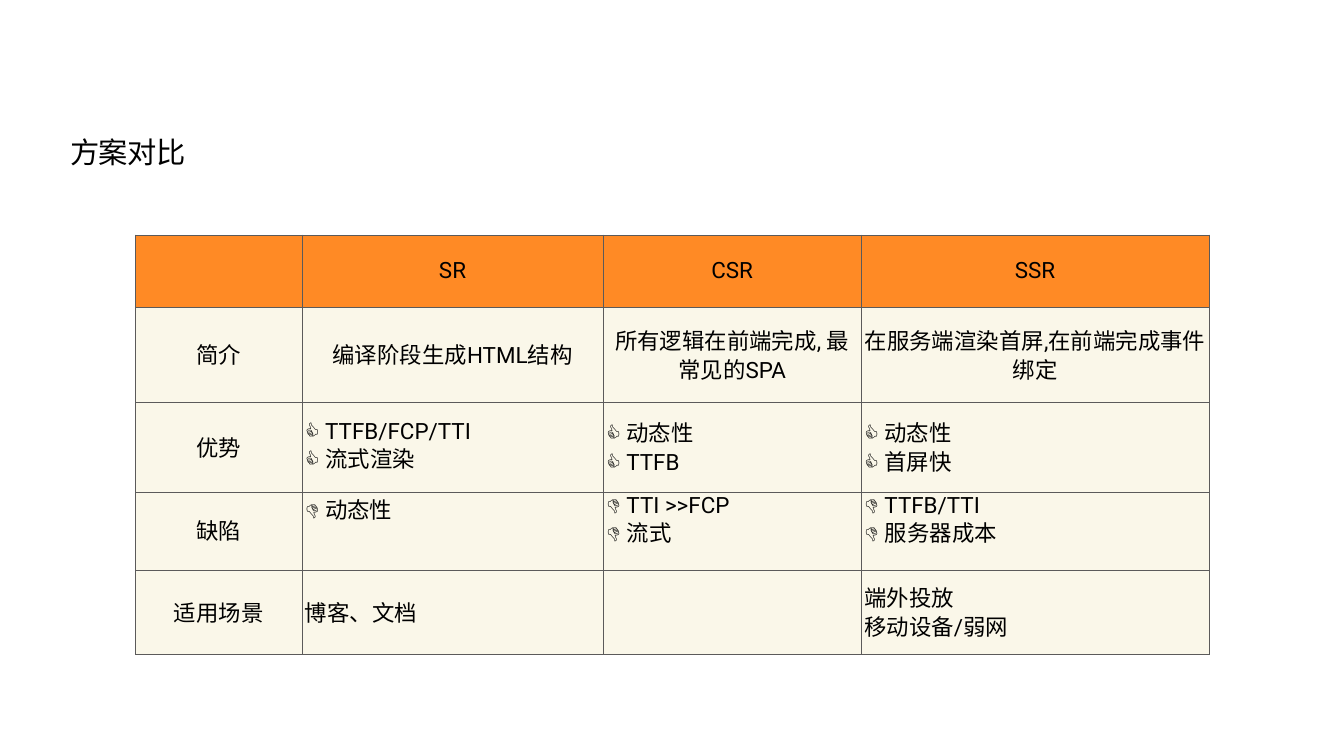
from dataclasses import dataclass

from lxml.etree import SubElement
from pptx import Presentation
from pptx.dml.color import RGBColor
from pptx.enum.text import MSO_ANCHOR, MSO_AUTO_SIZE, PP_ALIGN
from pptx.oxml.ns import qn
from pptx.slide import Slide
from pptx.table import _Cell
from pptx.util import Inches, Pt

ORANGE = RGBColor(0xFF, 0x8A, 0x25)
CREAM = RGBColor(0xFA, 0xF7, 0xE9)
BLACK = RGBColor(0, 0, 0)
GRID_GREY = RGBColor(0x5B, 0x5A, 0x5A)

INSET = Inches(0.06)
COLUMN_WIDTHS = (3.3, 5.98, 5.12, 6.9)


@dataclass(frozen=True)
class ComparisonRow:
    height: float
    label: str
    entries: tuple[str, str, str]
    fill: RGBColor = CREAM
    alignment: PP_ALIGN = PP_ALIGN.LEFT
    anchor: MSO_ANCHOR = MSO_ANCHOR.MIDDLE


COMPARISON = (
    ComparisonRow(1.44, "", ("SR", "CSR", "SSR"), ORANGE, PP_ALIGN.CENTER),
    ComparisonRow(
        1.89,
        "简介",
        (
            "编译阶段生成HTML结构",
            "所有逻辑在前端完成, 最常见的SPA",
            "在服务端渲染首屏,在前端完成事件绑定",
        ),
        alignment=PP_ALIGN.CENTER,
    ),
    ComparisonRow(
        1.77,
        "优势",
        ("👍 TTFB/FCP/TTI\n👍 流式渲染", "👍 动态性\n👍 TTFB", "👍 动态性\n👍 首屏快"),
    ),
    ComparisonRow(
        1.56,
        "缺陷",
        ("👎 动态性", "👎 TTI >>FCP\n👎 流式", "👎 TTFB/TTI\n👎 服务器成本"),
        anchor=MSO_ANCHOR.TOP,
    ),
    ComparisonRow(1.67, "适用场景", ("博客、文档", "", "端外投放\n移动设备/弱网")),
)


def add_title(slide: Slide, wording: str) -> None:
    title = slide.shapes.title
    title.left, title.top = Inches(1.33), Inches(2.61)
    title.width, title.height = Inches(24), Inches(0.91)
    frame = title.text_frame
    frame.auto_size = MSO_AUTO_SIZE.NONE
    frame.vertical_anchor = MSO_ANCHOR.TOP
    frame.margin_left = frame.margin_right = INSET
    frame.margin_top = frame.margin_bottom = INSET
    paragraph = frame.paragraphs[0]
    paragraph.alignment = PP_ALIGN.LEFT
    run = paragraph.add_run()
    run.text = wording
    run.font.name = "Calibri"
    run.font.size = Pt(41.8)
    run.font.color.rgb = BLACK
    run.font._element.set("spc", "-40")


def draw_borders(cell: _Cell) -> None:
    properties = cell._tc.get_or_add_tcPr()
    for side in ("a:lnL", "a:lnR", "a:lnT", "a:lnB"):
        border = SubElement(properties, qn(side), w=str(Pt(1)))
        solid = SubElement(border, qn("a:solidFill"))
        SubElement(solid, qn("a:srgbClr"), val=str(GRID_GREY))


def fill_cell(
    cell: _Cell, wording: str, fill: RGBColor, alignment: PP_ALIGN, anchor: MSO_ANCHOR
) -> None:
    draw_borders(cell)
    cell.fill.solid()
    cell.fill.fore_color.rgb = fill
    cell.vertical_anchor = anchor
    cell.margin_left = cell.margin_right = INSET
    cell.margin_top = cell.margin_bottom = INSET
    if not wording:
        return
    paragraph = cell.text_frame.paragraphs[0]
    paragraph.alignment = alignment
    paragraph.line_spacing = 0.9
    for index, line in enumerate(wording.split("\n")):
        if index:
            paragraph.add_line_break()
        run = paragraph.add_run()
        run.text = line
        run.font.name = "Roboto"
        run.font.size = Pt(32)
        run.font.color.rgb = BLACK


def add_comparison(slide: Slide, rows: tuple[ComparisonRow, ...]) -> None:
    table = slide.shapes.add_table(
        len(rows),
        len(COLUMN_WIDTHS),
        Inches(2.69),
        Inches(4.66),
        Inches(sum(COLUMN_WIDTHS)),
        Inches(sum(row.height for row in rows)),
    ).table
    table.first_row = False
    table.horz_banding = False
    for column, width in zip(table.columns, COLUMN_WIDTHS):
        column.width = Inches(width)
    for index, row in enumerate(rows):
        table.rows[index].height = Inches(row.height)
        fill_cell(
            table.cell(index, 0), row.label, row.fill, PP_ALIGN.CENTER, MSO_ANCHOR.MIDDLE
        )
        for position, entry in enumerate(row.entries, start=1):
            fill_cell(
                table.cell(index, position), entry, row.fill, row.alignment, row.anchor
            )


def main() -> None:
    presentation = Presentation()
    presentation.slide_width = Inches(26.67)
    presentation.slide_height = Inches(15)
    slide = presentation.slides.add_slide(presentation.slide_layouts[5])
    add_title(slide, "方案对比")
    add_comparison(slide, COMPARISON)
    presentation.save("out.pptx")


if __name__ == "__main__":
    main()
